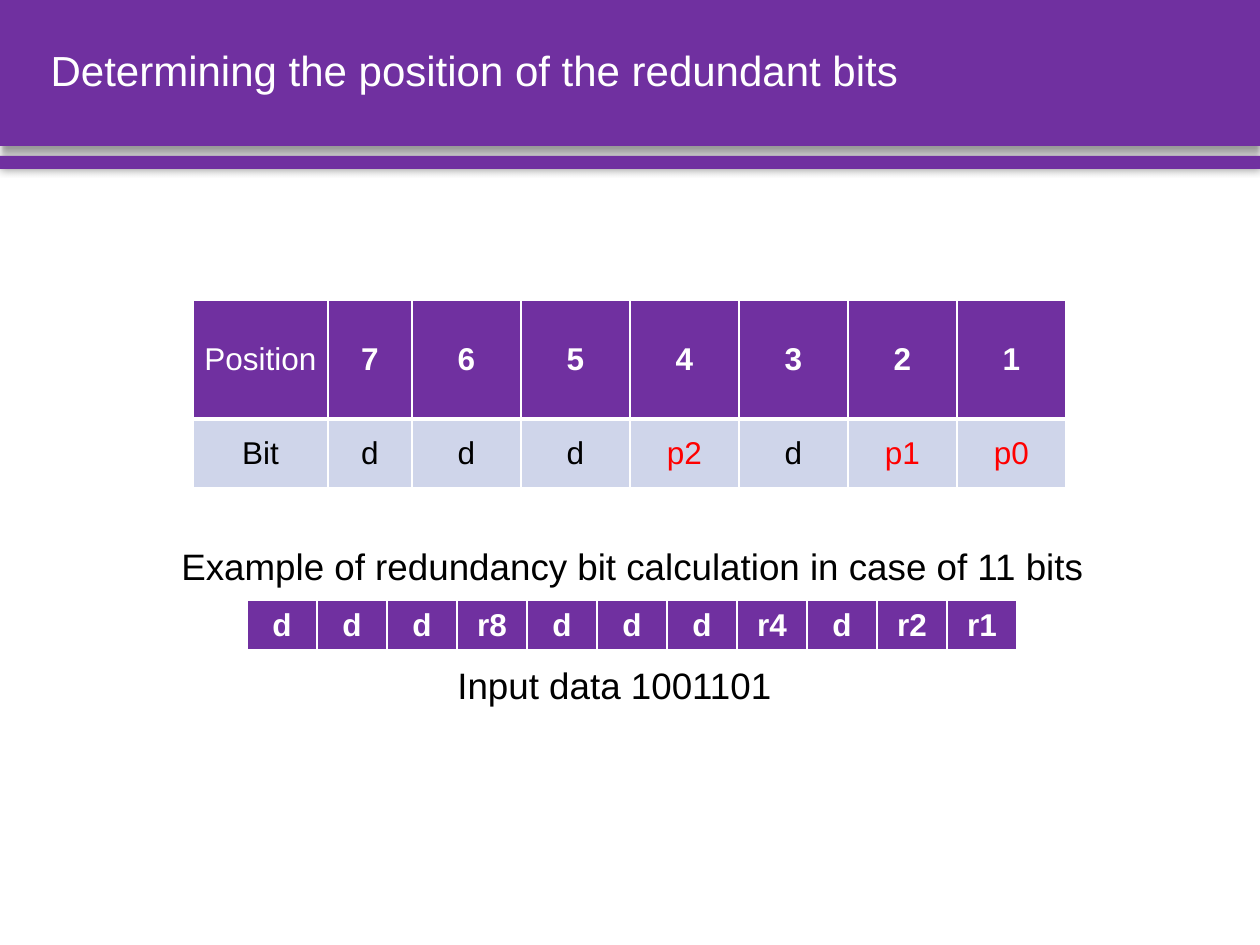
from lxml import etree
from pptx import Presentation
from pptx.dml.color import RGBColor
from pptx.enum.shapes import MSO_SHAPE
from pptx.enum.text import MSO_ANCHOR, PP_ALIGN
from pptx.oxml.ns import qn
from pptx.util import Emu, Pt

RECTANGLE = MSO_SHAPE.RECTANGLE
MIDDLE = MSO_ANCHOR.MIDDLE
LEFT, CENTER = PP_ALIGN.LEFT, PP_ALIGN.CENTER

PURPLE = RGBColor(0x70, 0x30, 0xA0)
PALE_BLUE = RGBColor(0xCF, 0xD5, 0xEA)
WHITE = RGBColor(0xFF, 0xFF, 0xFF)
BLACK = RGBColor(0x00, 0x00, 0x00)
RED = RGBColor(0xFF, 0x00, 0x00)

FONT = "Arial"
PX_PER_INCH = 126
SLIDE_W, SLIDE_H = 1260, 945
ONE_POINT = 12700

POSITIONS = ["Position", "7", "6", "5", "4", "3", "2", "1"]
BITS = ["Bit", "d", "d", "d", "p2", "d", "p1", "p0"]
ELEVEN_BITS = ["d", "d", "d", "r8", "d", "d", "d", "r4", "d", "r2", "r1"]


def px(length):
    return Emu(round(length * 914400 / PX_PER_INCH))


def write(frame, text, size=18, color=BLACK, bold=False, align=CENTER, spacing=None):
    paragraph = frame.paragraphs[0]
    paragraph.alignment = align
    paragraph.line_spacing = spacing
    run = paragraph.add_run()
    run.text = text
    run.font.name = FONT
    run.font.size = Pt(size)
    run.font.bold = bold
    run.font.color.rgb = color


def add_shadow(shape, blur, distance, angle):
    """Blur and distance in points, angle in degrees."""
    shape.shadow.inherit = False
    effects = shape.element.spPr.find(qn("a:effectLst"))
    shadow = etree.SubElement(
        effects, qn("a:outerShdw"), blurRad=str(blur * ONE_POINT),
        dist=str(distance * ONE_POINT), dir=str(angle * 60000),
        algn="t", rotWithShape="0")
    shade = etree.SubElement(shadow, qn("a:srgbClr"), val=str(BLACK))
    etree.SubElement(shade, qn("a:alpha"), val="40000")


def add_bar(slide, top, height, **shadow):
    bar = slide.shapes.add_shape(RECTANGLE, 0, px(top), px(SLIDE_W), px(height))
    bar.fill.solid()
    bar.fill.fore_color.rgb = PURPLE
    bar.line.fill.background()
    add_shadow(bar, **shadow)


def add_header(slide, height, text):
    add_bar(slide, 0, height, blur=4, distance=3, angle=90)
    add_bar(slide, height + 10, 13, blur=5, distance=0, angle=0)
    title = slide.shapes.title
    title.left, title.top = px(38), 0
    title.width, title.height = px(1192), px(height)
    title.text_frame.vertical_anchor = MIDDLE
    title.text_frame.word_wrap = True
    write(title.text_frame, text, size=24, color=WHITE, align=LEFT, spacing=0.9)
    slide.shapes._spTree.append(title.element)  # bring in front of the bars


def add_borders(cell, **points):
    """Draw white borders, given as side letter and width."""
    properties = cell._tc.get_or_add_tcPr()
    for side, width in points.items():
        line = etree.SubElement(properties, qn(f"a:ln{side}"), w=str(width * ONE_POINT))
        fill = etree.SubElement(line, qn("a:solidFill"))
        etree.SubElement(fill, qn("a:srgbClr"), val=str(WHITE))


def format_cell(cell, text, is_header):
    add_borders(cell, L=1, R=1, T=1 if is_header else 3, B=3 if is_header else 1)
    cell.fill.solid()
    cell.fill.fore_color.rgb = PURPLE if is_header else PALE_BLUE
    cell.vertical_anchor = MIDDLE
    cell.margin_left = cell.margin_right = px(9)
    cell.margin_top = cell.margin_bottom = px(5)
    if is_header:
        write(cell.text_frame, text, color=WHITE, bold=text != "Position")
    else:
        write(cell.text_frame, text, color=RED if text.startswith("p") else BLACK)


def add_bit_table(slide, left, top, widths, heights, rows):
    table = slide.shapes.add_table(
        len(rows), len(widths), px(left), px(top),
        px(sum(widths)), px(sum(heights))).table
    table.first_row = table.horz_banding = False
    for column, width in zip(table.columns, widths):
        column.width = px(width)
    for r, (height, texts) in enumerate(zip(heights, rows)):
        table.rows[r].height = px(height)
        for c, text in enumerate(texts):
            format_cell(table.cell(r, c), text, is_header=r == 0)


def add_caption(slide, left, top, text, shift=0):
    """Centre a line in its box, moved left by shift."""
    box = slide.shapes.add_textbox(px(left), px(top), px(945), px(57))
    frame = box.text_frame
    frame.word_wrap = True
    frame.margin_right += px(2 * shift)
    write(frame, text, size=21)


def main():
    presentation = Presentation()
    presentation.slide_width, presentation.slide_height = px(SLIDE_W), px(SLIDE_H)
    slide = presentation.slides.add_slide(presentation.slide_layouts[5])
    add_header(slide, 146, "Determining the position of the redundant bits")
    add_bit_table(slide, 193, 300, [135, 84] + [109] * 6, [119, 69], [POSITIONS, BITS])
    add_bit_table(slide, 247, 600, [70] * 11, [51], [ELEVEN_BITS])
    add_caption(slide, 160, 538, "Example of redundancy bit calculation in case of 11 bits")
    add_caption(slide, 158, 657, "Input data 1001101", shift=16)
    presentation.save("out.pptx")


if __name__ == "__main__":
    main()
